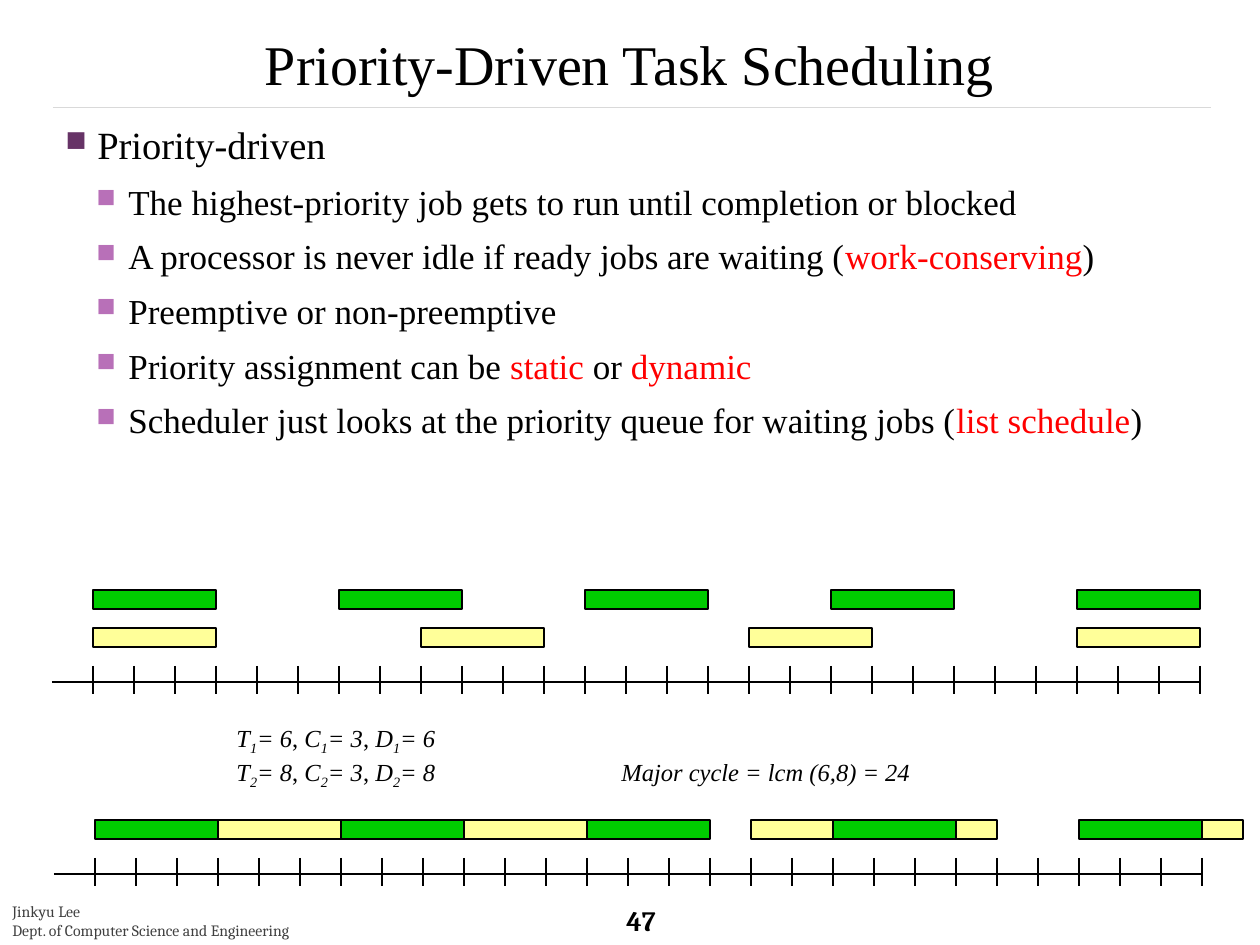
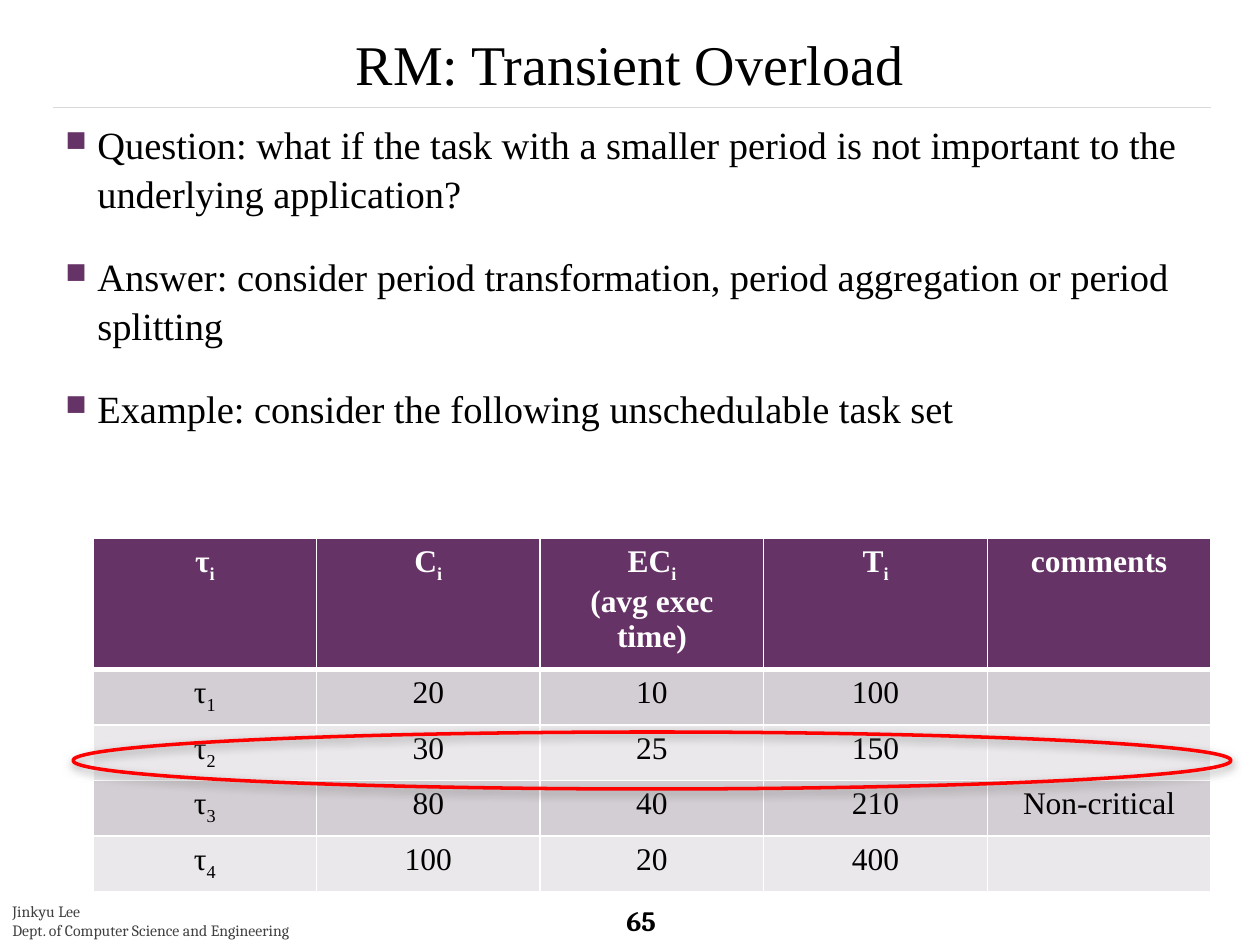
from pptx import Presentation
from pptx.dml.color import RGBColor
from pptx.enum.shapes import MSO_CONNECTOR, MSO_SHAPE
from pptx.enum.text import MSO_ANCHOR, PP_ALIGN
from pptx.oxml import parse_xml
from pptx.oxml.ns import nsdecls, qn
from pptx.util import Pt

SCALE = 914400 / 126
SERIF = "Times New Roman"
FOOTER_FONT = "Cambria"
BLACK, WHITE, RED = "000000", "FFFFFF", "FF0000"
PLUM, ORCHID = "663366", "B870B8"
GREEN, YELLOW = "00CC00", "FFFF99"
ROW_FILLS = ["D3CED3", "EAE8EA"]
BULLET_LEVELS = [(22, 20, 32, PLUM), (20, 6, 63, ORCHID)]
UNIT = 41
BAR_HEIGHT = 19


def px(length):
    return round(length * SCALE)


def box_emu(box):
    return [px(length) for length in box]


def rgb(value):
    return RGBColor.from_string(value)


def style_font(paragraph, size, name=SERIF, colour=BLACK, bold=False, italic=False):
    font = paragraph.font
    font.size, font.name, font.bold, font.italic = Pt(size), name, bold, italic
    font.color.rgb = rgb(colour)


def add_xml(parent, xml, index=None):
    element = parse_xml(xml.replace(" ", f" {nsdecls('a')} ", 1))
    parent.insert(len(parent) if index is None else index, element)


def add_run(paragraph, text, colour=None, subscript=False, italic=None):
    run = paragraph.add_run()
    run.text = text
    if colour:
        run.font.color.rgb = rgb(colour)
    if subscript:
        run.font._element.set("baseline", "-25000")
    run.font.italic = italic


def add_indexed(paragraph, text):
    head, *tails = text.split("_")
    add_run(paragraph, head)
    for tail in tails:
        add_run(paragraph, tail[0], subscript=True)
        if tail[1:]:
            add_run(paragraph, tail[1:])


def add_text_frame(shapes, box, anchor=MSO_ANCHOR.TOP):
    frame = shapes.add_textbox(*box_emu(box)).text_frame
    frame.word_wrap = True
    frame.vertical_anchor = anchor
    return frame


def next_paragraph(frame, position):
    return frame.add_paragraph() if position else frame.paragraphs[0]


def add_line(shapes, start, end, colour=BLACK, width=1):
    line = shapes.add_connector(MSO_CONNECTOR.STRAIGHT, *box_emu(start + end))
    line.line.color.rgb = rgb(colour)
    line.line.width = Pt(width)
    add_xml(line._element.spPr, "<a:effectLst />")


def add_title(shapes, box, title):
    left, top, width, height = box
    frame = add_text_frame(shapes, box, MSO_ANCHOR.BOTTOM)
    frame.margin_bottom = 0
    heading = frame.paragraphs[0]
    heading.text = title
    heading.alignment = PP_ALIGN.CENTER
    style_font(heading, 32)
    add_line(shapes, (left + 53, top + 86), (left + 1211, top + 86), "D9D9D9", 0.1)


def add_footer(shapes, box, page):
    left, top, width, height = box
    affiliation = add_text_frame(shapes, (left, top, 348, height))
    credits = ["Jinkyu Lee", "Dept. of Computer Science and Engineering"]
    for position, credit in enumerate(credits):
        paragraph = next_paragraph(affiliation, position)
        paragraph.text = credit
        style_font(paragraph, 9, FOOTER_FONT, "404040")
    number_box = (left + 614, top + 5, 83, 39)
    number = add_text_frame(shapes, number_box, MSO_ANCHOR.MIDDLE).paragraphs[0]
    number.text = str(page)
    style_font(number, 16, FOOTER_FONT, bold=True)


def add_bullets(shapes, box, points):
    frame = add_text_frame(shapes, box)
    for position, (level, text) in enumerate(points):
        size, space_before, margin, bullet_colour = BULLET_LEVELS[level]
        paragraph = next_paragraph(frame, position)
        paragraph.level = level
        paragraph.line_spacing = 1.05
        paragraph.space_before = Pt(space_before if position else 0)
        properties = paragraph._p.get_or_add_pPr()
        properties.set("marL", str(px(margin)))
        properties.set("indent", str(px(-32)))
        add_xml(properties, f'<a:buClr ><a:srgbClr val="{bullet_colour}"/></a:buClr>')
        add_xml(properties, '<a:buSzPct val="75000"/>')
        add_xml(properties, '<a:buChar char="■"/>')
        style_font(paragraph, size)
        for part, words in enumerate(text.split("*")):
            if words:
                add_run(paragraph, words, RED if part % 2 else None)


def add_timeline(shapes, origin, rows, axis_offset):
    left, top = origin
    group = shapes.add_group_shape().shapes
    axis = top + axis_offset
    for segment in range(4):
        start = left + 7 * UNIT * segment
        add_line(group, (start, axis), (start + 7 * UNIT, axis))
        for tick in range(1, 8):
            x = start + tick * UNIT
            add_line(group, (x, axis - 16), (x, axis + 12))
    for offset, fill, jobs in rows:
        for release, duration in jobs:
            bar_box = (left + UNIT * (release + 1), top + offset, UNIT * duration, BAR_HEIGHT)
            bar = group.add_shape(MSO_SHAPE.RECTANGLE, *box_emu(bar_box))
            bar.shadow.inherit = False
            bar.fill.solid()
            bar.fill.fore_color.rgb = rgb(fill)
            bar.line.color.rgb = rgb(BLACK)
            bar.line.width = Pt(1)


def add_task_parameters(shapes, box, tasks, conclusion):
    frame = add_text_frame(shapes, box)
    for position, (period, cost, deadline) in enumerate(tasks):
        paragraph = next_paragraph(frame, position)
        stops = "".join(f'<a:tab pos="{px(stop)}" algn="l"/>' for stop in (257, 385))
        add_xml(paragraph._p.get_or_add_pPr(), f"<a:tabLst >{stops}</a:tabLst>")
        style_font(paragraph, 14, italic=True)
        task = position + 1
        terms = [f"T_{task}= {period}", f"C_{task}= {cost}", f"D_{task}= {deadline}"]
        for place, term in enumerate(terms):
            if place:
                add_run(paragraph, ", ", italic=False)
            add_indexed(paragraph, term)
    add_run(paragraph, f"\t\t{conclusion}")


def set_borders(cell, top, bottom):
    properties = cell._tc.get_or_add_tcPr()
    widths = {"lnL": 1, "lnR": 1, "lnT": top, "lnB": bottom}
    for index, (side, width) in enumerate(widths.items()):
        add_xml(properties, f'<a:{side} w="{Pt(width)}"><a:solidFill><a:srgbClr val="{WHITE}"/>'
                            f"</a:solidFill></a:{side}>", index)


def add_task_table(shapes, box, rows):
    table = shapes.add_table(len(rows), len(rows[0]), *box_emu(box)).table
    table.first_row = table.horz_banding = False
    for column in table.columns:
        column.width = px(box[2] / len(rows[0]))
    for r, values in enumerate(rows):
        table.rows[r].height = px(52 if r else 122)
        for c, value in enumerate(values):
            cell = table.cell(r, c)
            cell.fill.solid()
            cell.fill.fore_color.rgb = rgb(ROW_FILLS[(r - 1) % 2] if r else PLUM)
            set_borders(cell, 3 if r == 1 else 1, 1 if r else 3)
            for position, text in enumerate(value.split("\n")):
                paragraph = next_paragraph(cell.text_frame, position)
                paragraph.alignment = PP_ALIGN.CENTER
                style_font(paragraph, 18, colour=BLACK if r else WHITE, bold=not r)
                if text:
                    add_indexed(paragraph, text)


def add_highlight(shapes, box):
    ring = shapes.add_shape(MSO_SHAPE.OVAL, *box_emu(box))
    ring.shadow.inherit = False
    ring.fill.background()
    ring.line.color.rgb = rgb(RED)
    ring.line.width = Pt(2)
    effects = ring._element.spPr.find(qn("a:effectLst"))
    add_xml(effects, f'<a:outerShdw blurRad="{Pt(5)}" dist="{Pt(2)}" dir="5400000" rotWithShape="0">'
                     '<a:srgbClr val="808080"><a:alpha val="75000"/></a:srgbClr></a:outerShdw>')


def add_page(deck, title, page, points):
    shapes = deck.slides.add_slide(deck.slide_layouts[6]).shapes
    add_footer(shapes, (0, 896, 1260, 50), page)
    add_title(shapes, (0, 21, 1260, 76), title)
    add_bullets(shapes, (53, 113, 1158, 811), points)
    return shapes


def build_scheduling(deck):
    shapes = add_page(deck, "Priority-Driven Task Scheduling", 47, [
        (0, "Priority-driven"),
        (1, "The highest-priority job gets to run until completion or blocked"),
        (1, "A processor is never idle if ready jobs are waiting (*work-conserving*)"),
        (1, "Preemptive or non-preemptive"),
        (1, "Priority assignment can be *static* or *dynamic*"),
        (1, "Scheduler just looks at the priority queue for waiting jobs (*list schedule*)"),
    ])
    first_task = [(release, 3) for release in range(0, 25, 6)]
    second_task = [(release, 3) for release in range(0, 25, 8)]
    second_task_runs = [(3, 3), (9, 3), (16, 2), (21, 1), (27, 1)]
    add_timeline(shapes, (52, 590), [(38, YELLOW, second_task), (0, GREEN, first_task)], 92)
    add_timeline(shapes, (54, 820), [(0, YELLOW, second_task_runs), (0, GREEN, first_task)], 54)
    add_task_parameters(shapes, (224, 717, 707, 72), [(6, 3, 6), (8, 3, 8)],
                        "Major cycle = lcm (6,8) = 24")


def build_overload(deck):
    shapes = add_page(deck, "RM: Transient Overload", 65, [
        (0, "Question: what if the task with a smaller period is not important to the "
            "underlying application?"),
        (0, "Answer: consider period transformation, period aggregation or period splitting"),
        (0, "Example: consider the following unschedulable task set"),
    ])
    add_task_table(shapes, (93, 538, 1118, 330), [
        ["τ_i", "C_i", "EC_i\n(avg exec time)", "T_i", "comments"],
        ["τ_1", "20", "10", "100", ""],
        ["τ_2", "30", "25", "150", ""],
        ["τ_3", "80", "40", "210", "Non-critical"],
        ["τ_4", "100", "20", "400", ""],
    ])
    add_highlight(shapes, (73, 732, 1158, 57))


def main():
    deck = Presentation()
    deck.slide_width, deck.slide_height = px(1260), px(945)
    build_scheduling(deck)
    build_overload(deck)
    deck.save("out.pptx")


if __name__ == "__main__":
    main()
